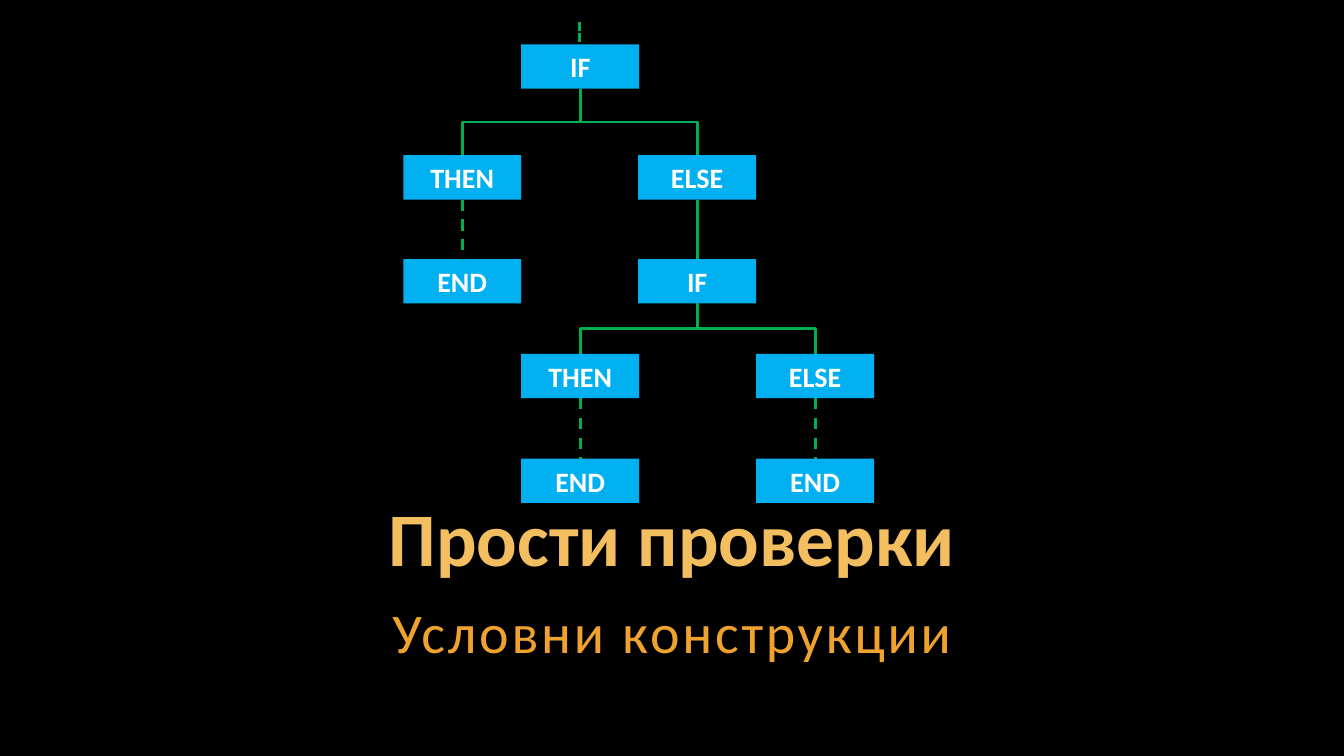
from lxml import etree
from pptx import Presentation
from pptx import util as u
from pptx.dml.color import RGBColor
from pptx.enum import dml, shapes, text
from pptx.oxml.ns import qn

PX = 9144
FONT = "Calibri"
BOX_W, BOX_H = 117, 44
COLUMNS = [400, 517, 633, 750]
ROWS = [44, 154, 257, 351, 455]
BOTTOM, TOP = 2, 0
DASH = dml.MSO_LINE.DASH


def px(n):
    """Turn pixels into EMU."""
    return u.Emu(n * PX)


def paint(fill, color):
    """Give a fill one solid colour."""
    fill.solid()
    fill.fore_color.rgb = RGBColor.from_string(color)


def style(p, size, color, bold):
    """Centre a paragraph and set its font."""
    p.alignment = text.PP_ALIGN.CENTER
    p.font.name = FONT
    p.font.size = u.Pt(size)
    p.font.bold = bold
    p.font.color.rgb = RGBColor.from_string(color)


def add_heading(s, words, top, height, size, color, bold, anchor, spacing):
    """Add a centred line of text and return its paragraph."""
    tf = s.shapes.add_textbox(px(100), px(top), px(1133), px(height)).text_frame
    tf.word_wrap = True
    tf.vertical_anchor = anchor
    tf.margin_left = tf.margin_right = tf.margin_top = tf.margin_bottom = px(4)
    p = tf.paragraphs[0]
    p.text = words
    p.line_spacing = spacing
    style(p, size, color, bold)
    return p


def add_box(s, words, col, row):
    """Add a flowchart box at a grid position."""
    sp = s.shapes.add_shape(shapes.MSO_SHAPE.RECTANGLE, px(COLUMNS[col]),
                            px(ROWS[row]), px(BOX_W), px(BOX_H))
    sp.shadow.inherit = False
    paint(sp.fill, "00B0F0")
    sp.line.fill.background()
    tf = sp.text_frame
    tf.word_wrap = True
    tf.vertical_anchor = text.MSO_ANCHOR.MIDDLE
    p = tf.paragraphs[0]
    p.text = words
    style(p, 20, "FFFFFF", True)
    return sp


def add_line(s, kind=shapes.MSO_CONNECTOR.STRAIGHT, ends=(0, 0, 0, 0), dash=None):
    """Add a green connector between two points."""
    c = s.shapes.add_connector(kind, *map(px, ends))
    paint(c.line.fill, "00B050")
    c.line.width = u.Pt(2)
    if dash:
        c.line.dash_style = dash
    etree.SubElement(c._element.spPr, qn("a:effectLst"))
    return c


def glue(c, upper, lower):
    """Attach a connector from the bottom of one box to the top of another."""
    c.begin_connect(upper, BOTTOM)
    c.end_connect(lower, TOP)


def add_branch(s, upper, lower):
    """Join two boxes by an elbow that leaves downwards."""
    c = add_line(s, shapes.MSO_CONNECTOR.ELBOW)
    glue(c, upper, lower)
    rightward = lower.left > upper.left
    w, h = c.width, c.height
    shift = (w - h) // 2
    c.left, c.top, c.width, c.height = c.left + shift, c.top - shift, h, w
    xfrm = c._element.spPr.find(qn("a:xfrm"))
    xfrm.set("rot", str((270 if rightward else 90) * 60000))
    xfrm.set("flipH", "1" if rightward else "0")


def main():
    """Build the slide and save it."""
    prs = Presentation()
    prs.slide_width, prs.slide_height = u.Inches(13.33), u.Inches(7.5)
    s = prs.slides.add_slide(prs.slide_layouts[6])
    paint(s.background.fill, "000000")

    add_heading(s, "Прости проверки", 492, 90, 54, "F3BE60", True,
                text.MSO_ANCHOR.BOTTOM, 0.9)
    p = add_heading(s, "Условни конструкции", 585, 79, 40, "F0A22E", False,
                    text.MSO_ANCHOR.TOP, 1.05)
    p.space_after = u.Pt(6)
    p.runs[0].font._element.set("spc", "200")

    outer_if = add_box(s, "IF", 1, 0)
    outer_then = add_box(s, "THEN", 0, 1)
    outer_else = add_box(s, "ELSE", 2, 1)
    outer_end = add_box(s, "END", 0, 2)
    inner_if = add_box(s, "IF", 2, 2)
    inner_then = add_box(s, "THEN", 1, 3)
    inner_else = add_box(s, "ELSE", 3, 3)
    then_end = add_box(s, "END", 1, 4)
    else_end = add_box(s, "END", 3, 4)

    for upper, lower in [(outer_if, outer_else), (outer_if, outer_then),
                         (inner_if, inner_else), (inner_if, inner_then)]:
        add_branch(s, upper, lower)
    for upper, lower, dash in [(outer_else, inner_if, None),
                               (outer_then, outer_end, DASH),
                               (inner_then, then_end, DASH),
                               (inner_else, else_end, DASH)]:
        glue(add_line(s, dash=dash), upper, lower)
    add_line(s, ends=(575, 22, 575, 44), dash=dml.MSO_LINE.SQUARE_DOT)
    prs.save("out.pptx")


if __name__ == "__main__":
    main()
